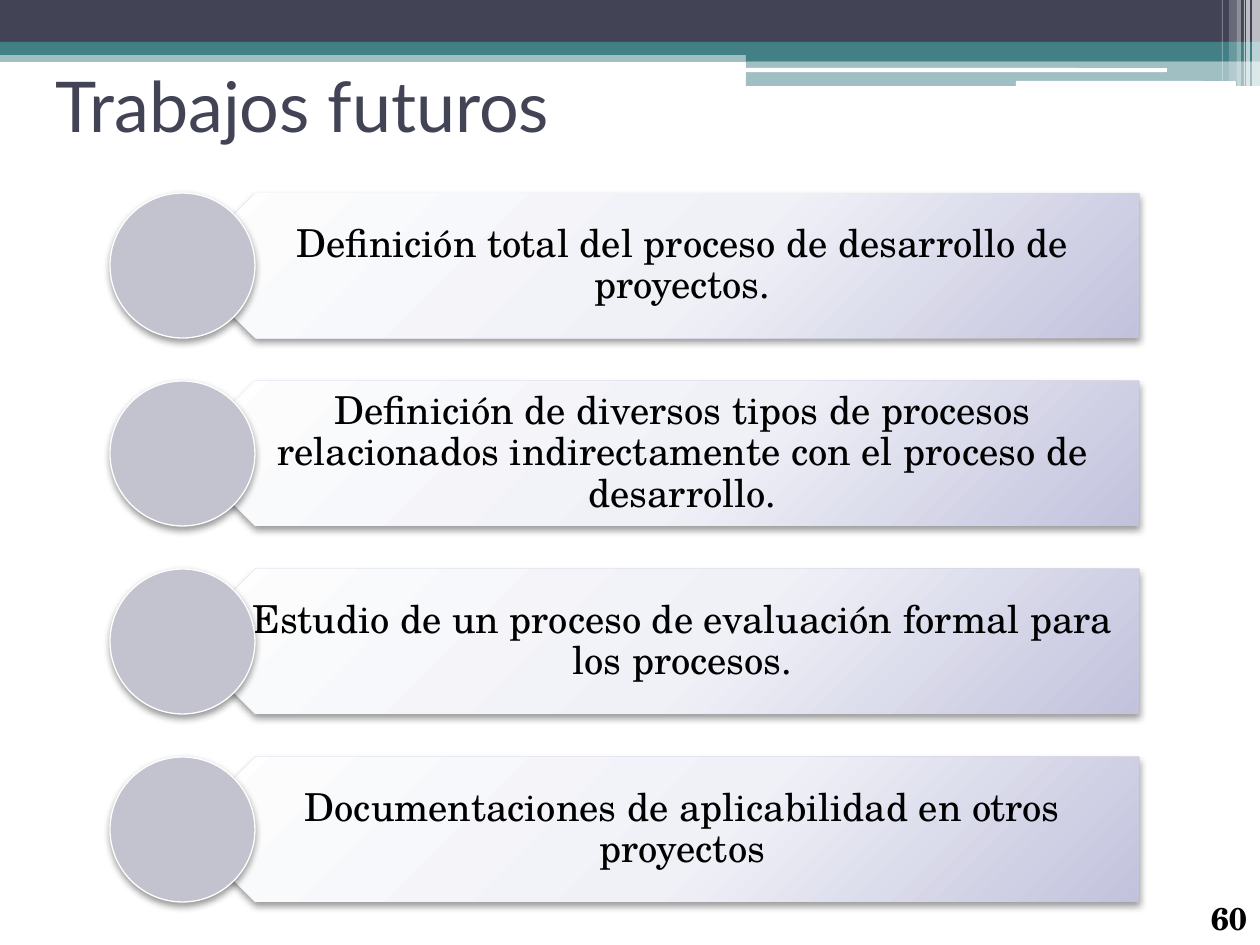
from lxml.etree import SubElement
from pptx import Presentation
from pptx.dml.color import RGBColor
from pptx.enum.shapes import MSO_SHAPE
from pptx.enum.text import MSO_ANCHOR, PP_ALIGN
from pptx.oxml import parse_xml
from pptx.oxml.ns import nsdecls, qn
from pptx.util import Pt

PX = 914400 / 126
WHITE = RGBColor(0xFF, 0xFF, 0xFF)
BLACK = RGBColor(0x00, 0x00, 0x00)
SLATE = RGBColor(0x42, 0x44, 0x56)
TEAL = RGBColor(0x43, 0x80, 0x86)
GREY = RGBColor(0xC3, 0xC3, 0xCF)
BANNER_STOPS = [(0, RGBColor(0xFE, 0xFE, 0xFE)), (55, RGBColor(0xF0, 0xF1, 0xF7)),
                (100, RGBColor(0xC2, 0xC2, 0xDD))]

TITLE = "Trabajos futuros"
PAGE_NUMBER = "60"
FUTURE_WORK = [
    "Definición total del proceso de desarrollo de proyectos.",
    "Definición de diversos tipos de procesos relacionados indirectamente con el proceso de desarrollo.",
    "Estudio de un proceso de evaluación formal para los procesos.",
    "Documentaciones de aplicabilidad en otros proyectos",
]
HEADER_BANDS = [
    ((0, 50, 1260, 12), TEAL, 50),
    ((0, 0, 1260, 42), SLATE, 100),
    ((0, 42, 1260, 13), TEAL, 100),
    ((746, 49, 514, 12), TEAL, 100),
    ((746, 61, 514, 25), TEAL, 50),
]
HEADER_RULES = [(745, 68, 422, 4), (1016, 81, 220, 5)]
HEADER_STRIPES = [
    ((1252, 0, 8, 86), 65), ((1246, 0, 4, 86), 65), ((1244, 0, 1, 86), 60),
    ((1237, 0, 4, 86), 40), ((1229, 0, 8, 81), 20), ((1222, 0, 1, 81), 30),
]
ROW_TOP, ROW_STEP, ROW_HEIGHT = 193, 188, 145
CIRCLE_LEFT, BANNER_LEFT, BANNER_WIDTH = 110, 183, 956


def emu(lengths):
    return [round(length * PX) for length in lengths]


def add_shape(page, kind, place, color=None, opacity=100):
    shape = page.shapes.add_shape(kind, *emu(place))
    shape.shadow.inherit = False
    shape.line.fill.background()
    if color is not None:
        shape.fill.solid()
        shape.fill.fore_color.rgb = color
    if opacity < 100:
        swatch = shape.fill._xPr.find(qn("a:solidFill")).find(qn("a:srgbClr"))
        SubElement(swatch, qn("a:alpha"), val=str(opacity * 1000))
    return shape


def add_shadow(shape):
    effects = shape._element.spPr.find(qn("a:effectLst"))
    shadow = SubElement(effects, qn("a:outerShdw"), blurRad=str(Pt(4.1)), dist=str(Pt(2)),
                        dir="5400000", rotWithShape="0")
    swatch = SubElement(shadow, qn("a:srgbClr"), val=str(BLACK))
    SubElement(swatch, qn("a:alpha"), val="40000")


def add_text(page, place, text, font, size, color, insets, anchor=MSO_ANCHOR.TOP, wrap=True):
    box = page.shapes.add_textbox(*emu(place))
    frame = box.text_frame
    frame.word_wrap = wrap
    frame.vertical_anchor = anchor
    frame.margin_left, frame.margin_top, frame.margin_right, frame.margin_bottom = emu(insets)
    frame.text = text
    para = frame.paragraphs[0]
    span = para.runs[0]
    span.font.name, span.font.size = font, Pt(size)
    span.font.color.rgb = color
    return para


def add_banner(page, place):
    banner = add_shape(page, MSO_SHAPE.PENTAGON, place)
    banner.rotation = 180
    stops = "".join(f'<a:gs pos="{position * 1000}"><a:srgbClr val="{color}"/></a:gs>'
                    for position, color in BANNER_STOPS)
    gradient = parse_xml(
        f'<a:gradFill {nsdecls("a")} rotWithShape="1"><a:gsLst>{stops}</a:gsLst>'
        '<a:path path="circle"><a:fillToRect l="-40000" t="-90000" r="140000" b="190000"/>'
        '</a:path></a:gradFill>')
    banner._element.spPr.find(qn("a:prstGeom")).addnext(gradient)
    add_shadow(banner)


def add_row(page, top, text):
    place = (BANNER_LEFT, top, BANNER_WIDTH, ROW_HEIGHT)
    add_banner(page, place)
    para = add_text(page, place, text, "TeX Gyre Schola", 22, BLACK, (64, 11, 21, 11),
                    MSO_ANCHOR.MIDDLE)
    para.alignment = PP_ALIGN.CENTER
    para.line_spacing = 0.9
    circle = add_shape(page, MSO_SHAPE.OVAL, (CIRCLE_LEFT, top, ROW_HEIGHT, ROW_HEIGHT), GREY)
    circle.line.color.rgb = WHITE
    circle.line.width = Pt(0.75)
    add_shadow(circle)


def main():
    """Build the future work slide."""
    deck = Presentation()
    deck.slide_width, deck.slide_height = emu((1260, 945))
    page = deck.slides.add_slide(deck.slide_layouts[6])
    for place, color, opacity in HEADER_BANDS:
        add_shape(page, MSO_SHAPE.RECTANGLE, place, color, opacity)
    for place in HEADER_RULES:
        add_shape(page, MSO_SHAPE.ROUNDED_RECTANGLE, place, WHITE)
    for place, opacity in HEADER_STRIPES:
        add_shape(page, MSO_SHAPE.RECTANGLE, place, WHITE, opacity)
    add_text(page, (45, 11, 1171, 187), TITLE, "Lato", 40, SLATE, (11, 5, 11, 6),
             MSO_ANCHOR.MIDDLE)
    number = add_text(page, (1200, 891, 60, 54), PAGE_NUMBER, "TeX Gyre Schola", 18, BLACK,
                      (11, 8, 11, 5), wrap=False)
    number.runs[0].font.bold = True
    for index, text in enumerate(FUTURE_WORK):
        add_row(page, ROW_TOP + index * ROW_STEP, text)
    deck.save("out.pptx")


if __name__ == "__main__":
    main()
